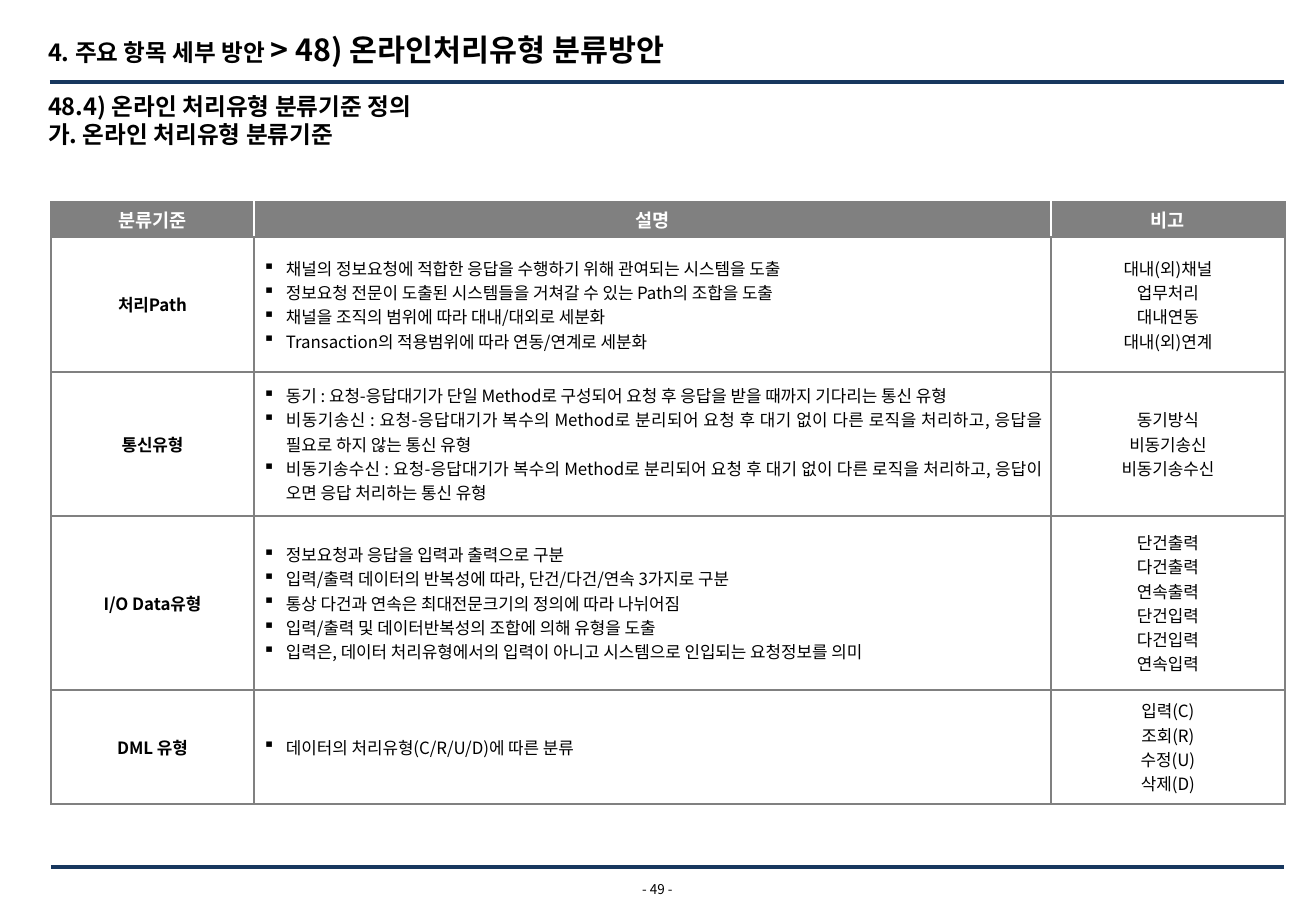
from lxml.etree import SubElement
from pptx import Presentation
from pptx.dml.color import RGBColor
from pptx.enum.shapes import MSO_CONNECTOR as Connector
from pptx.enum.text import MSO_ANCHOR as Anchor, PP_ALIGN as Align
from pptx.oxml import parse_xml
from pptx.oxml.ns import nsdecls, qn
from pptx.util import Emu, Pt

FONT = "Noto Sans CJK KR"
NAVY, GRAY, WHITE, BLACK = "17375E", "808080", "FFFFFF", "000000"

HEADER = ["분류기준", "설명", "비고"]
COLUMNS = [203, 797, 234]
ROW_HEIGHTS = [35, 135, 144, 174, 114]
CRITERIA = [
    ("처리Path",
     ["채널의 정보요청에 적합한 응답을 수행하기 위해 관여되는 시스템을 도출",
      "정보요청 전문이 도출된 시스템들을 거쳐갈 수 있는 Path의 조합을 도출",
      "채널을 조직의 범위에 따라 대내/대외로 세분화",
      "Transaction의 적용범위에 따라 연동/연계로 세분화"],
     ["대내(외)채널", "업무처리", "대내연동", "대내(외)연계"]),
    ("통신유형",
     ["동기 : 요청-응답대기가 단일 Method로 구성되어 요청 후 응답을 받을 때까지 기다리는 통신 유형",
      "비동기송신 : 요청-응답대기가 복수의 Method로 분리되어 요청 후 대기 없이 다른 로직을 처리하고, "
      "응답을 필요로 하지 않는 통신 유형",
      "비동기송수신 : 요청-응답대기가 복수의 Method로 분리되어 요청 후 대기 없이 다른 로직을 처리하고, "
      "응답이 오면 응답 처리하는 통신 유형"],
     ["동기방식", "비동기송신", "비동기송수신"]),
    ("I/O Data유형",
     ["정보요청과 응답을 입력과 출력으로 구분",
      "입력/출력 데이터의 반복성에 따라, 단건/다건/연속 3가지로 구분",
      "통상 다건과 연속은 최대전문크기의 정의에 따라 나뉘어짐",
      "입력/출력 및 데이터반복성의 조합에 의해 유형을 도출",
      "입력은, 데이터 처리유형에서의 입력이 아니고 시스템으로 인입되는 요청정보를 의미"],
     ["단건출력", "다건출력", "연속출력", "단건입력", "다건입력", "연속입력"]),
    ("DML 유형",
     ["데이터의 처리유형(C/R/U/D)에 따른 분류"],
     ["입력(C)", "조회(R)", "수정(U)", "삭제(D)"]),
]


def px(length):
    return Emu(length * 7526)


def color(value):
    return RGBColor.from_string(value)


def add_span(para, text, size=10, bold=False, ink=BLACK):
    span = para.add_run()
    span.text = text
    span.font.size = Pt(size)
    span.font.bold = bold
    span.font.color.rgb = color(ink)
    span.font.name = FONT
    SubElement(span.font._element, qn("a:ea"), typeface=FONT)


def add_lines(frame, lines, align=Align.LEFT, bullet=None, **style):
    for index, line in enumerate(lines):
        para = frame.add_paragraph() if index else frame.paragraphs[0]
        para.alignment = align
        if bullet:
            props = para._p.get_or_add_pPr()
            props.set("marL", str(px(23)))
            props.set("indent", str(px(-23)))
            SubElement(props, qn("a:buChar"), char=bullet)
        add_span(para, line, **style)


def set_borders(cell, **sides):
    props = cell._tc.get_or_add_tcPr()
    for index, side in enumerate("LRTB"):
        props.insert(index, parse_xml(
            f'<a:ln{side} {nsdecls("a")} w="12700"><a:solidFill>'
            f'<a:srgbClr val="{sides.get(side, GRAY)}"/></a:solidFill></a:ln{side}>'))


class Page:
    """Holds the deck and its current slide."""

    def __init__(self, width, height):
        self.deck = Presentation()
        self.deck.slide_width, self.deck.slide_height = px(width), px(height)
        self.slide = self.deck.slides.add_slide(self.deck.slide_layouts[6])

    def rule(self, left, right, y):
        line = self.slide.shapes.add_connector(
            Connector.STRAIGHT, px(left), px(y), px(right), px(y))
        line.line.color.rgb = color(NAVY)
        line.line.width = Pt(2.25)
        SubElement(line._element.spPr, qn("a:effectLst"))

    def box(self, left, top, width, height, inset=0, anchor=Anchor.TOP):
        frame = self.slide.shapes.add_textbox(
            px(left), px(top), px(width), px(height)).text_frame
        frame.word_wrap = True
        frame.vertical_anchor = anchor
        frame.margin_left = frame.margin_right = px(inset)
        frame.margin_top = frame.margin_bottom = 0
        return frame

    def table(self, left, top, columns, heights):
        table = self.slide.shapes.add_table(
            len(heights), len(columns), px(left), px(top),
            px(sum(columns)), px(sum(heights))).table
        table.first_row = table.horz_banding = False
        for column, width in zip(table.columns, columns):
            column.width = px(width)
        for row, height in zip(table.rows, heights):
            row.height = px(height)
        return table

    def cell(self, cell, lines, fill=WHITE, borders=None, **style):
        cell.fill.solid()
        cell.fill.fore_color.rgb = color(fill)
        set_borders(cell, **(borders or {}))
        cell.vertical_anchor = Anchor.MIDDLE
        cell.margin_left = cell.margin_right = px(9)
        cell.margin_top = cell.margin_bottom = 0
        add_lines(cell.text_frame, lines, **style)


def main():
    page = Page(1316, 911)
    page.rule(50, 1284, 82)
    page.rule(51, 1284, 867)
    number = page.box(617, 881, 81, 16, anchor=Anchor.MIDDLE)
    add_lines(number, ["- 49 -"], align=Align.CENTER, size=8)

    title = page.box(36, 31, 1249, 44, inset=12).paragraphs[0]
    add_span(title, "4. 주요 항목 세부 방안 ", size=14, bold=True)
    add_span(title, "> 48) 온라인처리유형 분류방안", size=18, bold=True)
    subtitle = page.box(36, 92, 1249, 77, inset=12)
    add_lines(subtitle, ["48.4) 온라인 처리유형 분류기준 정의", "가. 온라인 처리유형 분류기준"],
              size=14, bold=True)

    table = page.table(51, 202, COLUMNS, ROW_HEIGHTS)
    inner_sides = ["R", "LR", "L"]
    for index, (heading, sides) in enumerate(zip(HEADER, inner_sides)):
        page.cell(table.cell(0, index), [heading], fill=GRAY,
                  borders=dict.fromkeys(sides, WHITE),
                  align=Align.CENTER, size=11, bold=True, ink=WHITE)
    for row, (name, details, remarks) in enumerate(CRITERIA, 1):
        page.cell(table.cell(row, 0), [name], align=Align.CENTER, bold=True)
        page.cell(table.cell(row, 1), details, align=Align.JUSTIFY, bullet="▪")
        page.cell(table.cell(row, 2), remarks, align=Align.CENTER)

    page.deck.save("out.pptx")


if __name__ == "__main__":
    main()
